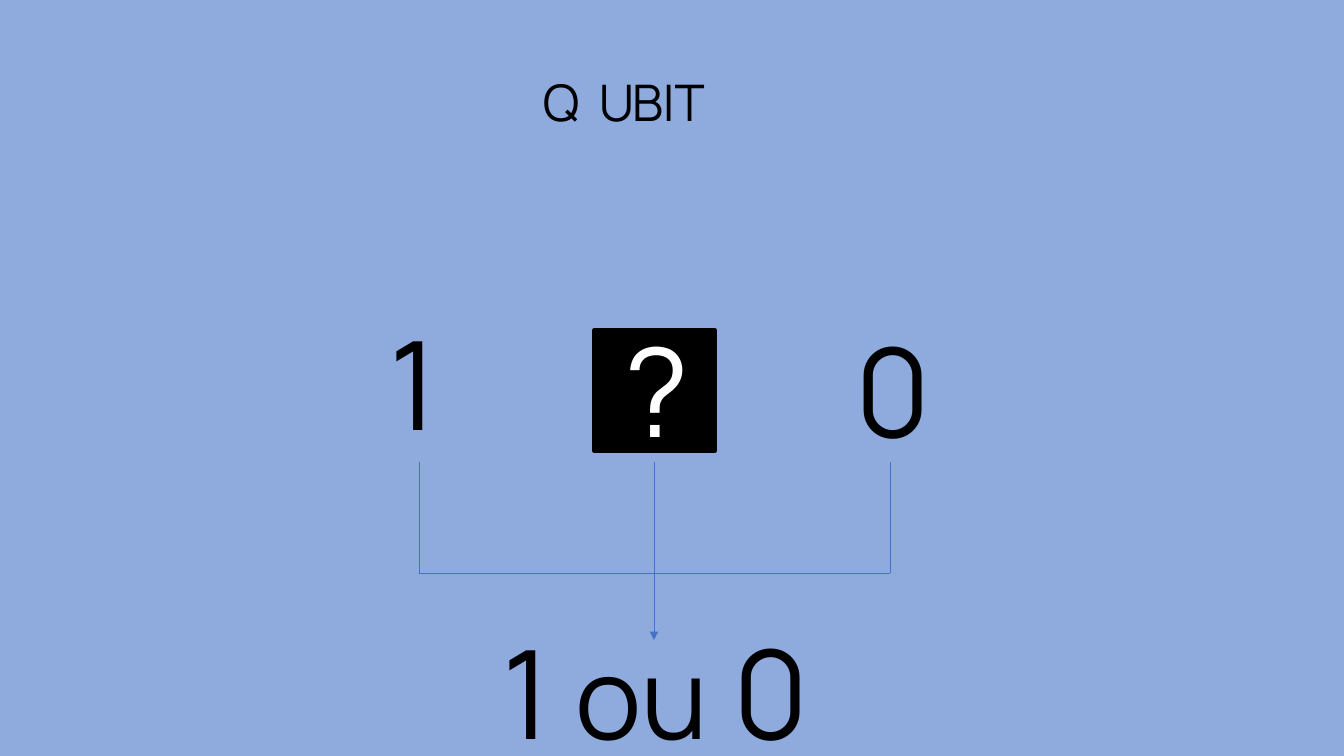
from dataclasses import dataclass

from lxml import etree
from pptx import Presentation
from pptx import util as u
from pptx.dml.color import RGBColor
from pptx.enum import shapes, text
from pptx.oxml.ns import qn


@dataclass(frozen=True)
class Theme:
    font: str = "Manrope"
    background: str = "8FAADC"
    ink: str = "000000"
    inverse: str = "FFFFFF"
    wire: str = "4472C4"
    title_size: int = 36
    digit_size: int = 88
    word_size: int = 80
    wire_width: float = 0.5


@dataclass(frozen=True)
class Box:
    left: int
    top: int
    width: int
    height: int


@dataclass(frozen=True)
class Label:
    box: Box
    runs: tuple[tuple[str, int], ...]
    color: str


@dataclass(frozen=True)
class Wire:
    x1: int
    y1: int
    x2: int
    y2: int
    arrow: bool = False


THEME = Theme()
SLIDE_W, SLIDE_H = 1344, 756

# Diagram grid
LEFT_X, MID_X, RIGHT_X = 419, 654, 890
STATE_Y, JOIN_Y, ARROW_Y = 462, 573, 640
TITLE_TOP, TITLE_H = 66, 72
DIGIT_W, DIGIT_H = 79, 159


def px(n: int) -> u.Emu:
    return u.Emu(round(n * 914400 / 100.8))


def title_part(word: str, left: int, width: int) -> Label:
    return Label(Box(left, TITLE_TOP, width, TITLE_H),
                 ((word, THEME.title_size),), THEME.ink)


def state(symbol: str, left: int, top: int, color: str = THEME.ink) -> Label:
    return Label(Box(left, top, DIGIT_W, DIGIT_H),
                 ((symbol, THEME.digit_size),), color)


TITLE = title_part("BIT", 622, 107)
TITLE_LETTERS = (title_part("U", 589, 46), title_part("Q", 533, 51))
STATES = (state("1", 380, 302), state("0", 846, 309))
UNKNOWN = state("?", 615, 309, THEME.inverse)
RESULT = Label(Box(493, 611, 353, DIGIT_H),
               (("1 ", THEME.digit_size), ("ou", THEME.word_size),
                (" 0", THEME.digit_size)), THEME.ink)
BRACKET = (
    Wire(LEFT_X, STATE_Y, LEFT_X, JOIN_Y),
    Wire(LEFT_X, JOIN_Y, RIGHT_X, JOIN_Y),
    Wire(RIGHT_X, STATE_Y, RIGHT_X, JOIN_Y),
    Wire(MID_X, JOIN_Y, MID_X, ARROW_Y, arrow=True),
)
MIDDLE_WIRE = Wire(MID_X, STATE_Y, MID_X, JOIN_Y)


def write_label(sp, label: Label) -> None:
    b = label.box
    sp.left, sp.top, sp.width, sp.height = map(
        px, (b.left, b.top, b.width, b.height))
    tf = sp.text_frame
    tf.word_wrap = True
    tf.auto_size = text.MSO_AUTO_SIZE.SHAPE_TO_FIT_TEXT
    tf.vertical_anchor = text.MSO_ANCHOR.TOP
    p = tf.paragraphs[0]
    p.alignment = text.PP_ALIGN.LEFT
    for words, size in label.runs:
        r = p.add_run()
        r.text = words
        r.font.name = THEME.font
        r.font.size = u.Pt(size)
        r.font.color.rgb = RGBColor.from_string(label.color)


def add_label(s, label: Label) -> None:
    write_label(s.shapes.add_textbox(0, 0, 0, 0), label)


def add_rect(s, box: Box, color: str, line_width: float):
    sp = s.shapes.add_shape(shapes.MSO_SHAPE.RECTANGLE, px(box.left),
                            px(box.top), px(box.width), px(box.height))
    sp.shadow.inherit = False
    sp.fill.solid()
    sp.fill.fore_color.rgb = RGBColor.from_string(color)
    sp.line.color.rgb = RGBColor.from_string(color)
    sp.line.width = u.Pt(line_width)
    return sp


def add_wire(s, wire: Wire) -> None:
    c = s.shapes.add_connector(shapes.MSO_CONNECTOR.STRAIGHT, px(wire.x1),
                               px(wire.y1), px(wire.x2), px(wire.y2))
    c.line.color.rgb = RGBColor.from_string(THEME.wire)
    c.line.width = u.Pt(THEME.wire_width)
    sp_pr = c.element.spPr
    if wire.arrow:
        etree.SubElement(sp_pr.find(qn("a:ln")), qn("a:tailEnd"), type="triangle")
    etree.SubElement(sp_pr, qn("a:effectLst"))


def main() -> None:
    prs = Presentation()
    prs.slide_width, prs.slide_height = px(SLIDE_W), px(SLIDE_H)
    s = prs.slides.add_slide(prs.slide_layouts[5])

    # Background, placed behind the title
    background = add_rect(s, Box(0, 0, SLIDE_W, 760), THEME.background, 1)
    title = s.shapes.title
    title.element.addprevious(background.element)

    # Title and the two possible states
    write_label(title, TITLE)
    for label in TITLE_LETTERS + STATES:
        add_label(s, label)

    # Bracket joining the states
    for wire in BRACKET:
        add_wire(s, wire)

    # Unknown state and the measured result
    add_rect(s, Box(594, 330, 121, 121), THEME.ink, 2.25)
    add_wire(s, MIDDLE_WIRE)
    add_label(s, UNKNOWN)
    add_label(s, RESULT)

    prs.save("out.pptx")


if __name__ == "__main__":
    main()
